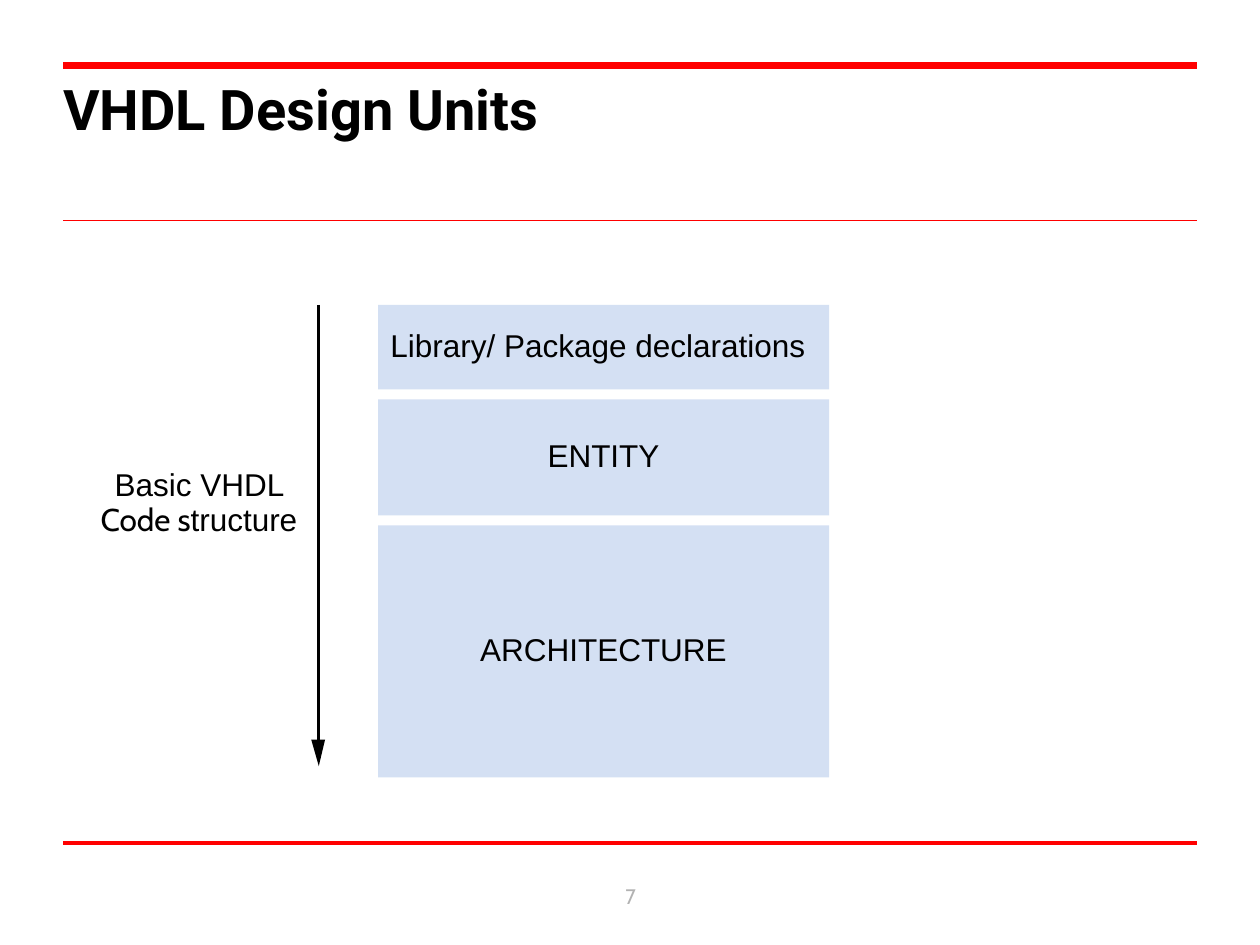
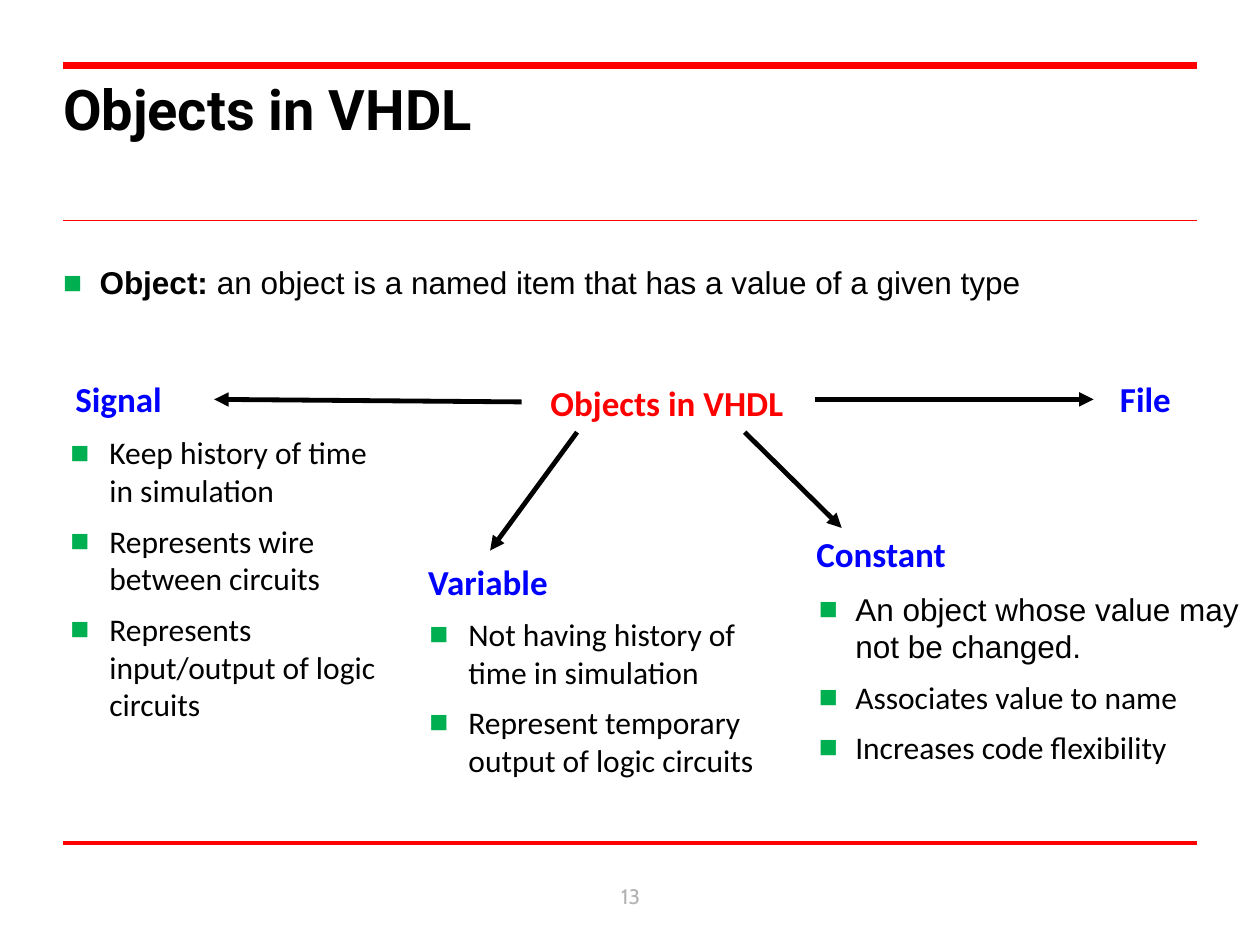
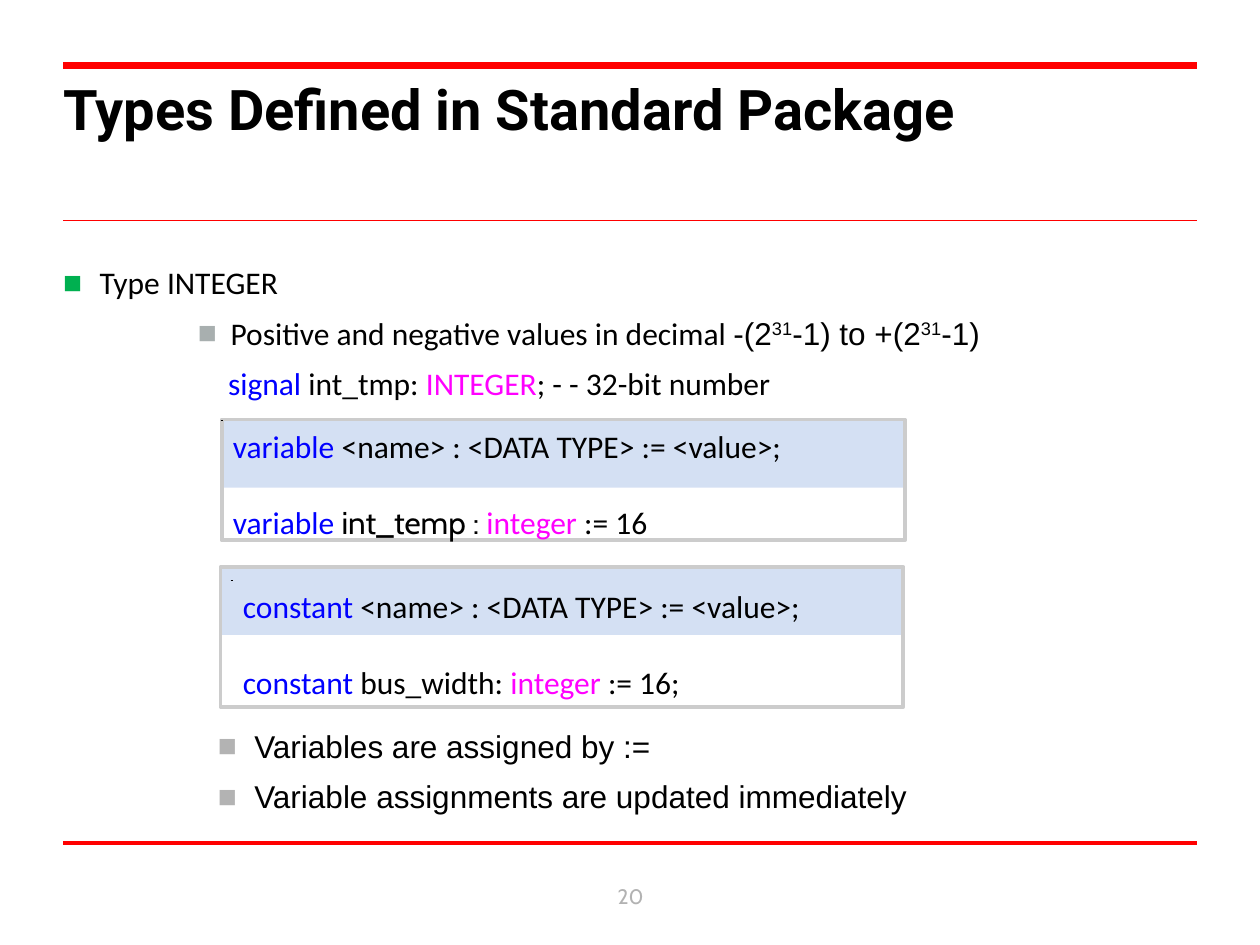
import pptx
import pptx.util
import pptx.dml.color
import pptx.enum.text
import pptx.enum.shapes
import pptx.oxml.ns
import lxml.etree

Inches = pptx.util.Inches
Pt = pptx.util.Pt
Align = pptx.enum.text.PP_ALIGN
Anchor = pptx.enum.text.MSO_ANCHOR
RED, BLUE, PINK, BLACK = "FF0000", "0000FF", "FF00FF", "000000"
GREEN, PALE, GRAY, FRAME = "00B050", "D4E0F3", "B2B2B2", "CCCCCC"
PLAIN = {"name": "Arial", "size": Pt(18), "hue": BLACK}
CALM = {**PLAIN, "name": "Calibri"}
HEAD = {**CALM, "size": Pt(20), "bold": True}
TITLE = {"name": "Roboto", "size": Pt(32), "bold": True, "hue": BLACK}
FOOT = {"name": "Cabin", "size": Pt(12), "hue": GRAY}


def rgb(hue):
    return pptx.dml.color.RGBColor.from_string(hue)


def put(item, values):
    for key, value in values.items():
        setattr(item, key, value)


def child(parent, tag, **marks):
    node = lxml.etree.SubElement(parent, pptx.oxml.ns.qn(tag))
    for key, value in marks.items():
        node.set(key, str(value))
    return node


def place(shape, box):
    put(shape, dict(zip(("left", "top", "width", "height"), map(Inches, box))))


def style(run, look):
    look = dict(look)
    run.font.color.rgb = rgb(look.pop("hue"))
    if look.pop("raised", False):
        run.font._element.set("baseline", "30000")
    put(run.font, look)


def mark(para, left, hang, hue):
    props = para._p.get_or_add_pPr()
    props.set("marL", str(Inches(left)))
    props.set("indent", str(Inches(-hang)))
    if hue:
        child(child(props, "a:buClr"), "a:srgbClr", val=hue)
        child(props, "a:buFont", typeface="Arial")
        child(props, "a:buChar", char="■")
    else:
        child(props, "a:buNone")


def write(para, runs, look, **form):
    put(para, form)
    for part in [runs] if isinstance(runs, str) else runs:
        text, change = (part, {}) if isinstance(part, str) else part
        run = para.add_run()
        run.text = text
        style(run, {**look, **change})


def lines(frame, count):
    return [frame.paragraphs[0]] + [frame.add_paragraph() for _ in range(count - 1)]


def bullets(frame, items, look=CALM, left=0.29, hang=0.29, hue=GREEN):
    for para, item in zip(lines(frame, len(items)), items):
        mark(para, left, hang, hue)
        write(para, item, look, space_before=Pt(0), space_after=Pt(7.2))


def text_box(slide, box):
    frame = slide.shapes.add_textbox(*map(Inches, box)).text_frame
    frame.word_wrap = True
    return frame


def label(slide, box, runs, look, **form):
    frame = text_box(slide, box)
    write(frame.paragraphs[0], runs, look, **form)
    return frame


def block(slide, box, fill=None, edge=None):
    kind = pptx.enum.shapes.MSO_SHAPE.RECTANGLE
    shape = slide.shapes.add_shape(kind, *map(Inches, box))
    shape.shadow.inherit = False
    if fill:
        shape.fill.solid()
        shape.fill.fore_color.rgb = rgb(fill)
    else:
        shape.fill.background()
    if edge:
        shape.line.color.rgb = rgb(edge)
        shape.line.width = Pt(2.25)
    else:
        shape.line.fill.background()
    return shape


def line(slide, start, end, hue, width, arrow=False):
    kind = pptx.enum.shapes.MSO_CONNECTOR.STRAIGHT
    link = slide.shapes.add_connector(kind, *map(Inches, (*start, *end)))
    link.line.color.rgb = rgb(hue)
    link.line.width = Pt(width)
    if arrow:
        child(link.line._get_or_add_ln(), "a:tailEnd", type="triangle")
    child(link._element.spPr, "a:effectLst")
    return link


def set_master(deck, slide):
    master = deck.slide_master
    for y, width in ((6.69, 2.5), (1.75, 1), (0.52, 4)):
        rule = line(slide, (0.5, y), (9.5, y), RED, width)
        master.shapes.element.append(rule._element)
    title, body = master.placeholders[0], master.placeholders[1]
    place(title, (0.5, 0.59, 8.99, 1))
    place(body, (0.5, 2.09, 9.25, 4.33))
    edges = {"margin_left": 0, "margin_right": 0, "margin_top": 0, "margin_bottom": 0}
    for holder in (title, body):
        put(holder.text_frame, {**edges, "vertical_anchor": Anchor.TOP,
                                "auto_size": pptx.enum.text.MSO_AUTO_SIZE.NONE})


def start(deck, layout, title, page):
    slide = deck.slides.add_slide(deck.slide_layouts[layout])
    para = slide.shapes.title.text_frame.paragraphs[0]
    write(para, title, TITLE, alignment=Align.LEFT)
    frame = label(slide, (3.84, 6.91, 2.33, 0.4), page, FOOT, alignment=Align.CENTER)
    frame.vertical_anchor = Anchor.MIDDLE
    return slide


def stack(slide, x, y, width, gap, units):
    for name, height, side in units:
        frame = block(slide, (x, y, width, height), PALE).text_frame
        put(frame, {"word_wrap": True, "vertical_anchor": Anchor.MIDDLE})
        write(frame.paragraphs[0], name, PLAIN, alignment=side, line_spacing=0.93)
        y += height + gap


def flow(slide, x, y, length):
    line(slide, (x, y), (x, y + length - 0.16), BLACK, 1.88)
    tip = y + length
    path = slide.shapes.build_freeform(Inches(x), Inches(tip))
    path.add_line_segments([(Inches(x + 0.05), Inches(tip - 0.21)),
                            (Inches(x - 0.06), Inches(tip - 0.21))], close=True)
    head = path.convert_to_shape()
    head.shadow.inherit = False
    head.fill.solid()
    head.fill.fore_color.rgb = rgb(BLACK)
    head.line.fill.background()


def units_slide(slide):
    stack(slide, 3, 2.42, 3.58, 0.08, [
        ("Library/ Package declarations", 0.67, Align.LEFT),
        ("ENTITY", 0.92, Align.CENTER),
        ("ARCHITECTURE", 2, Align.CENTER)])
    flow(slide, 2.53, 2.42, 3.66)
    label(slide, (0.58, 3.67, 2, 0.66),
          ["Basic VHDL ", ("Code s", {"name": "Cabin"}), "tructure"],
          PLAIN, alignment=Align.CENTER, line_spacing=0.93)


def objects_slide(slide):
    bullets(slide.placeholders[1].text_frame, [
        [("Object: ", {"bold": True}),
         "an object is a named item that has a value of a given type"]], PLAIN)
    heads = [("Objects in VHDL", 4.27, 2.98, 2.4, RED), ("Signal", 0.5, 2.95, 1.04, BLUE),
             ("Variable", 3.3, 4.4, 1.28, BLUE), ("Constant", 6.38, 4.18, 1.42, BLUE),
             ("File", 8.79, 2.95, 0.68, BLUE)]
    for name, x, y, width, hue in heads:
        label(slide, (x, y, width, 0.44), name, {**HEAD, "hue": hue})
    for begin, end in [((6.47, 3.17), (8.68, 3.17)), ((5.91, 3.43), (6.68, 4.19)),
                       ((4.58, 3.43), (3.89, 4.37)), ((4.14, 3.19), (1.7, 3.17))]:
        line(slide, begin, end, BLACK, 2.75, arrow=True)
    traits = [
        ((0.46, 3.39, 2.78, 2.46), 0.31, [
            "Keep history of time in simulation",
            "Represents wire between circuits",
            "Represents input/output of logic circuits"]),
        ((3.31, 4.83, 2.86, 1.43), 0.31, [
            "Not having history of time in simulation",
            "Represent temporary output of logic circuits"]),
        ((6.4, 4.63, 3.83, 1.5), 0.29, [
            [("An object whose value may not be changed.", {"name": "Arial"})],
            "Associates value to name",
            "Increases code flexibility"])]
    for box, hang, items in traits:
        bullets(text_box(slide, box), items, left=hang, hang=hang)


def code_box(slide, box, inset, rows):
    x, y, width, height = box
    block(slide, (x, y, width, 0.54), PALE)
    block(slide, box, edge=FRAME)
    left, top = x + inset[0], y + inset[1]
    line(slide, (left, top), (left + 0.02, top), BLACK, 0.75)
    frame = text_box(slide, (left, top, 6.17, 1))
    for spot, (para, row) in enumerate(zip(lines(frame, len(rows)), rows)):
        write(para, row, CALM, space_before=Pt(22 * spot))


def types_slide(slide):
    blue, pink, high = {"hue": BLUE}, {"hue": PINK}, {"name": "Arial", "raised": True}
    arial = {"name": "Arial"}
    frame = slide.placeholders[1].text_frame
    rows = [
        (0.29, 0.29, GREEN, "Type INTEGER"),
        (1.33, 0.26, "A8AFAF", [
            "Positive and negative values in decimal ", ("-(2", arial), ("31", high),
            ("-1) to +(2", arial), ("31", high), ("-1)", arial)]),
        (1.31, 0, None, [("signal", blue), " int_tmp: ", ("INTEGER", pink),
                         "; - - 32-bit number"])]
    for para, (left, hang, hue, runs) in zip(lines(frame, len(rows)), rows):
        mark(para, left, hang, hue)
        write(para, runs, CALM, space_before=Pt(0), space_after=Pt(7.2))
    form = "<name> : <DATA TYPE> := <value>;"
    code_box(slide, (1.76, 3.33, 5.42, 0.96), (-0.01, 0.01), [
        [("variable ", blue), form],
        [("variable ", blue), ("int_temp : ", {"name": "Cabin"}),
         ("integer ", pink), ":= 16"]])
    code_box(slide, (1.75, 4.5, 5.42, 1.11), (0.08, 0.11), [
        [("constant ", blue), form],
        [("constant ", blue), "bus_width: ", ("integer ", pink), ":= 16;"]])
    bullets(text_box(slide, (1.63, 5.72, 5.68, 0.8)), [
        "Variables are assigned by :=",
        "Variable assignments are updated immediately"], PLAIN, hue="B3B3B3")


def main():
    deck = pptx.Presentation()
    put(deck, {"slide_width": Inches(10), "slide_height": Inches(7.5)})
    pages = [(5, "VHDL Design Units", "7", units_slide),
             (1, "Objects in VHDL", "13", objects_slide),
             (1, "Types Defined in Standard Package", "20", types_slide)]
    for layout, title, page, build in pages:
        slide = start(deck, layout, title, page)
        build(slide)
    set_master(deck, slide)
    deck.save("out.pptx")


if __name__ == "__main__":
    main()
